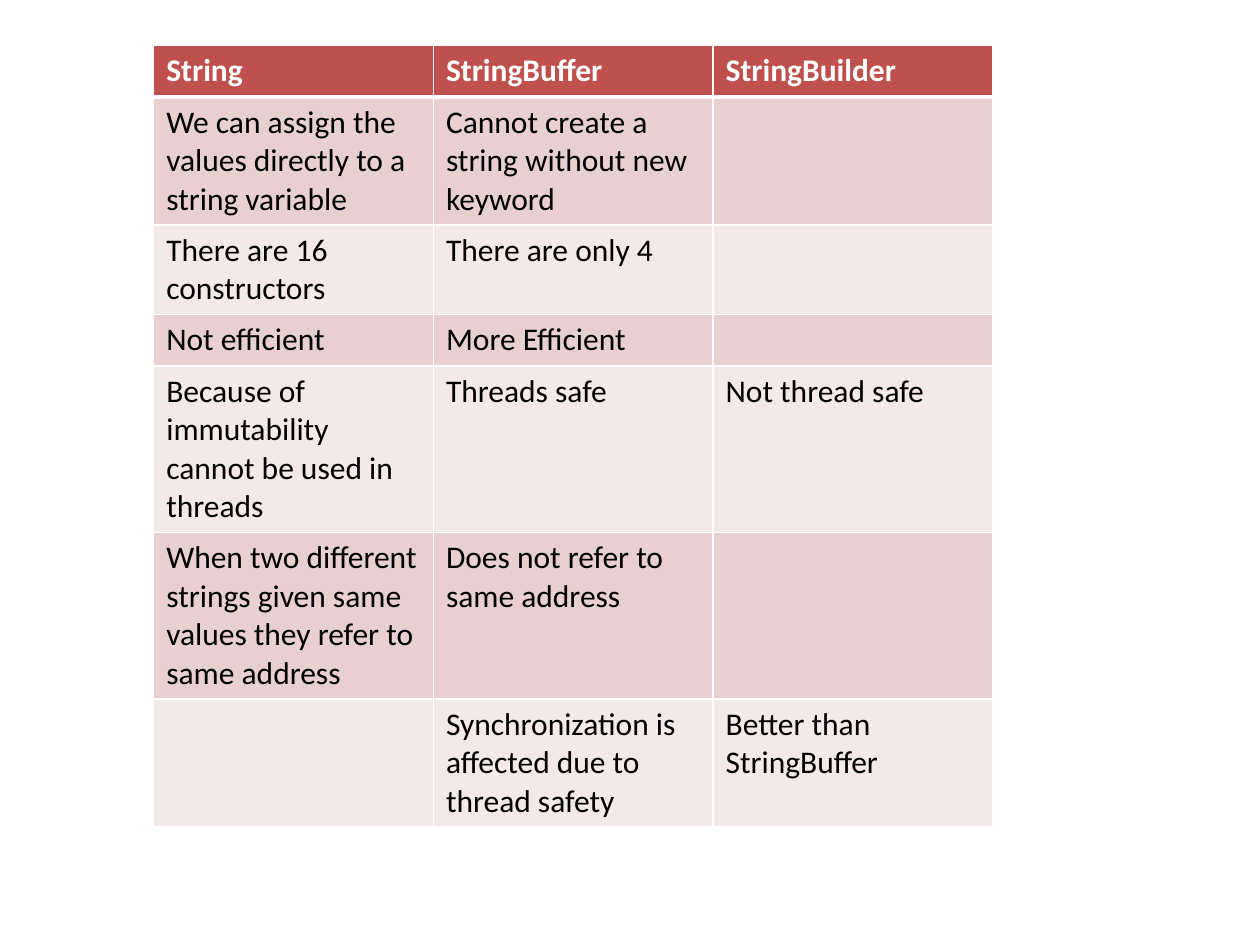
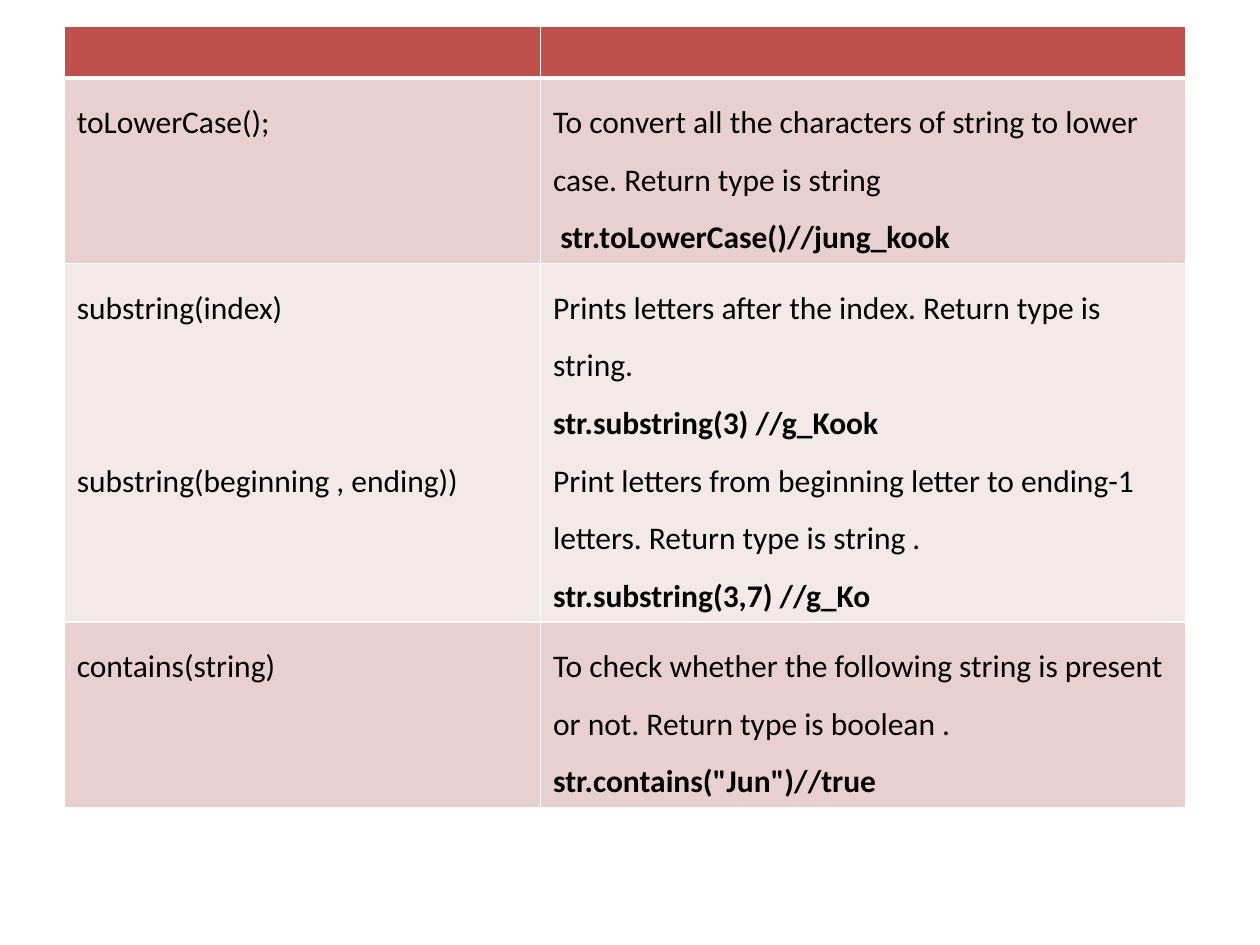
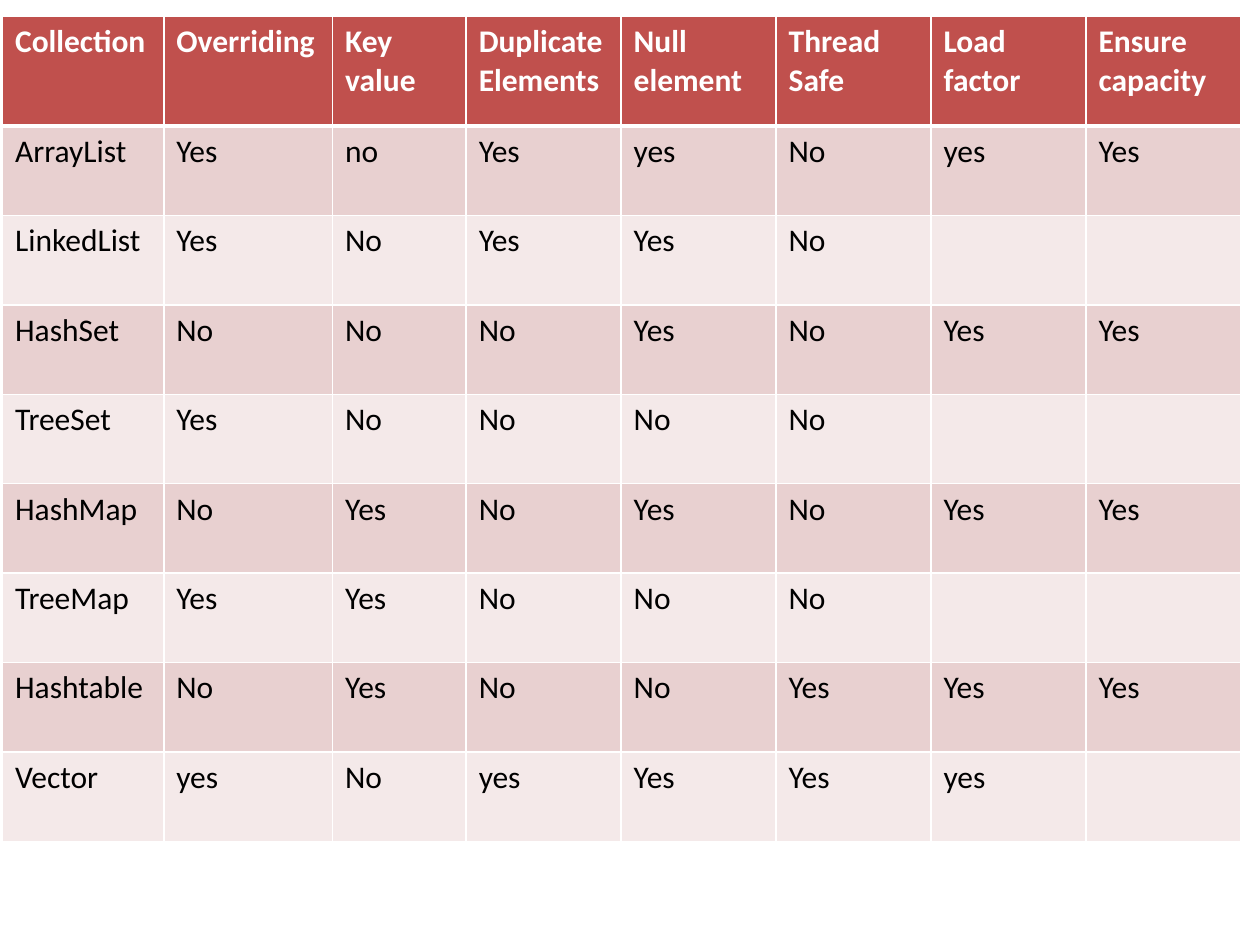
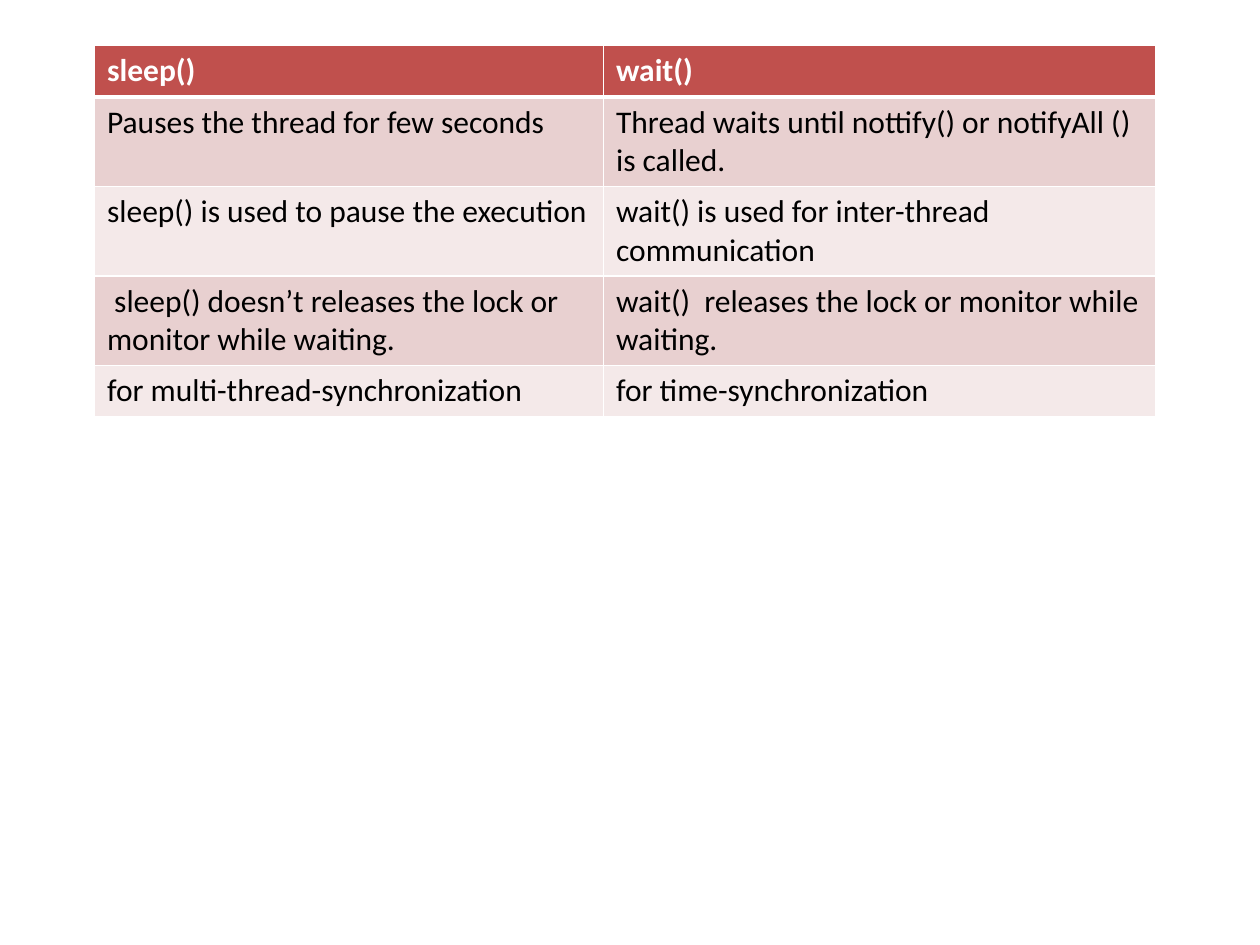
import pptx
import pptx.dml.color
import pptx.oxml
import pptx.util
from pptx.oxml import ns

Inches, Pt = pptx.util.Inches, pptx.util.Pt
RGB = pptx.dml.color.RGBColor.from_string

COLORS = {"header": "C0504D", "band_dark": "E8D0D0", "band_light": "F4E9E9",
          "border": "FFFFFF", "header_text": "FFFFFF", "text": "000000"}
FONT, SIZE = "Calibri", 18
ROW = 0.41  # least row height; rows grow with their text

# In a cell a line break starts a new paragraph and ** encloses bold text.
STRING_ROWS = [
    ["String", "StringBuffer", "StringBuilder"],
    ["We can assign the values directly to a string variable",
     "Cannot create a string without new keyword", ""],
    ["There are 16 constructors", "There are only 4", ""],
    ["Not efficient", "More Efficient", ""],
    ["Because of immutability cannot be used in threads", "Threads safe", "Not thread safe"],
    ["When two different strings given same values they refer to same address",
     "Does not refer to same address", ""],
    ["", "Synchronization is affected due to thread safety", "Better than StringBuffer"],
]
METHOD_ROWS = [
    ["", ""],
    ["toLowerCase();",
     "To convert all the characters of string to lower case. Return type is string\n"
     " **str.toLowerCase()//jung_kook**"],
    ["substring(index)\nsubstring(beginning , ending))",
     "Prints letters after the index. Return type is string.\n"
     "**str.substring(3) //g_Kook**\n"
     "Print letters from beginning letter to ending-1 letters. Return type is string .\n"
     "**str.substring(3,7) //g_Ko**"],
    ["contains(string)",
     "To check whether the following string is present or not. Return type is boolean .\n"
     '**str.contains("Jun")//true**'],
]
COLLECTION_ROWS = [
    ["Collection", "Overriding", "Key\nvalue", "Duplicate\nElements", "Null element",
     "Thread Safe", "Load factor", "Ensure capacity"],
    ["ArrayList", "Yes", "no", "Yes", "yes", "No", "yes", "Yes"],
    ["LinkedList", "Yes", "No", "Yes", "Yes", "No", "", ""],
    ["HashSet", "No", "No", "No", "Yes", "No", "Yes", "Yes"],
    ["TreeSet", "Yes", "No", "No", "No", "No", "", ""],
    ["HashMap", "No", "Yes", "No", "Yes", "No", "Yes", "Yes"],
    ["TreeMap", "Yes", "Yes", "No", "No", "No", "", ""],
    ["Hashtable", "No", "Yes", "No", "No", "Yes", "Yes", "Yes"],
    ["Vector", "yes", "No", "yes", "Yes", "Yes", "yes", ""],
]
THREAD_ROWS = [
    ["sleep()", "wait()"],
    ["Pauses the thread for few seconds",
     "Thread waits until nottify() or notifyAll () is called."],
    ["sleep() is used to pause the execution",
     "wait() is used for inter-thread communication"],
    [" sleep() doesn’t releases the lock or monitor while waiting.",
     "wait()  releases the lock or monitor while waiting."],
    ["for multi-thread-synchronization", "for time-synchronization"],
]


def set_borders(cell, row):
    """Draw thin white cell borders, with a thick one under the header row."""
    tcPr = cell._tc.get_or_add_tcPr()
    for side in "LRTB":
        thick = (row, side) in ((0, "B"), (1, "T"))
        tcPr.append(pptx.oxml.parse_xml(
            f'<a:ln{side} {ns.nsdecls("a")} w="{Pt(3 if thick else 1)}">'
            f'<a:solidFill><a:srgbClr val="{COLORS["border"]}"/></a:solidFill></a:ln{side}>'))


def add_table_slide(prs, rows, left, top, height, col_widths, row_heights, line_spacing=None):
    s = prs.slides.add_slide(prs.slide_layouts[6])
    frame = s.shapes.add_table(len(rows), len(col_widths), Inches(left), Inches(top),
                               Inches(sum(col_widths)), Inches(height))
    table = frame.table
    for column, width in zip(table.columns, col_widths):
        column.width = Inches(width)
    for i, (texts, row_height) in enumerate(zip(rows, row_heights)):
        table.rows[i].height = Inches(row_height)
        band = "header" if i == 0 else "band_dark" if i % 2 else "band_light"
        for j, text in enumerate(texts):
            cell = table.cell(i, j)
            set_borders(cell, i)
            cell.fill.solid()
            cell.fill.fore_color.rgb = RGB(COLORS[band])
            if not text:
                continue
            tf = cell.text_frame
            for n, line in enumerate(text.split("\n")):
                p = tf.add_paragraph() if n else tf.paragraphs[0]
                if line_spacing:
                    p.line_spacing = line_spacing
                for k, part in enumerate(line.split("**")):
                    if part:
                        r = p.add_run()
                        r.text = part
                        r.font.name, r.font.size = FONT, Pt(SIZE)
                        r.font.bold = i == 0 or k % 2 == 1
                        r.font.color.rgb = RGB(COLORS["text" if i else "header_text"])
    frame.height = Inches(height)
    return table


prs = pptx.Presentation()
prs.slide_width, prs.slide_height = Inches(10), Inches(7.5)

add_table_slide(prs, STRING_ROWS, 1.22, 0.36, 6.11, [2.22] * 3, [ROW] * 7)

methods = add_table_slide(prs, METHOD_ROWS, 0.51, 0.21, 6.25, [3.78, 5.12], [ROW] * 4, 1.5)
# Bring the second substring form level with its description, two lines further down.
methods.cell(2, 0).text_frame.paragraphs[1].space_before = Pt(66)

add_table_slide(prs, COLLECTION_ROWS, 0.02, 0.13, 6.52,
                [1.28, 1.34, 1.06] + [1.23] * 5, [0.87] + [0.71] * 8)

add_table_slide(prs, THREAD_ROWS, 0.75, 0.36, 2.91, [4.04, 4.38], [ROW] * 5)

prs.save("out.pptx")
